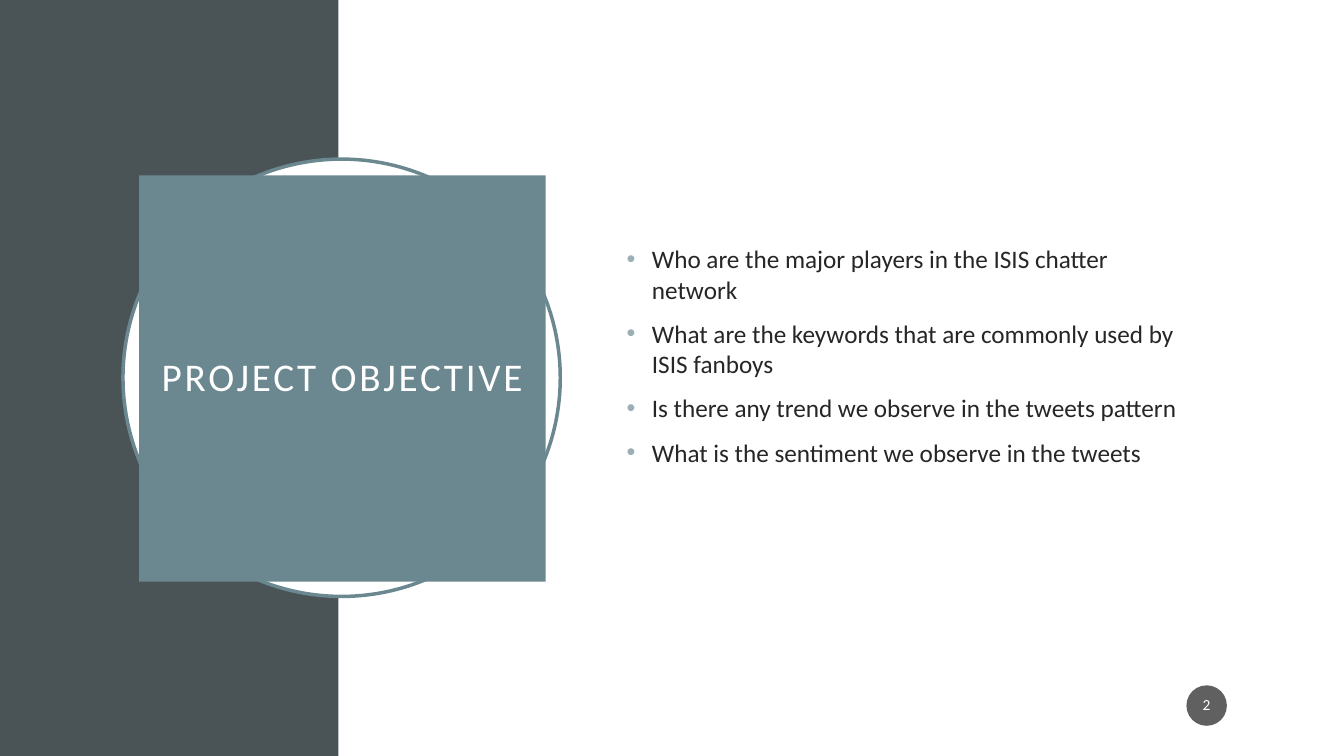
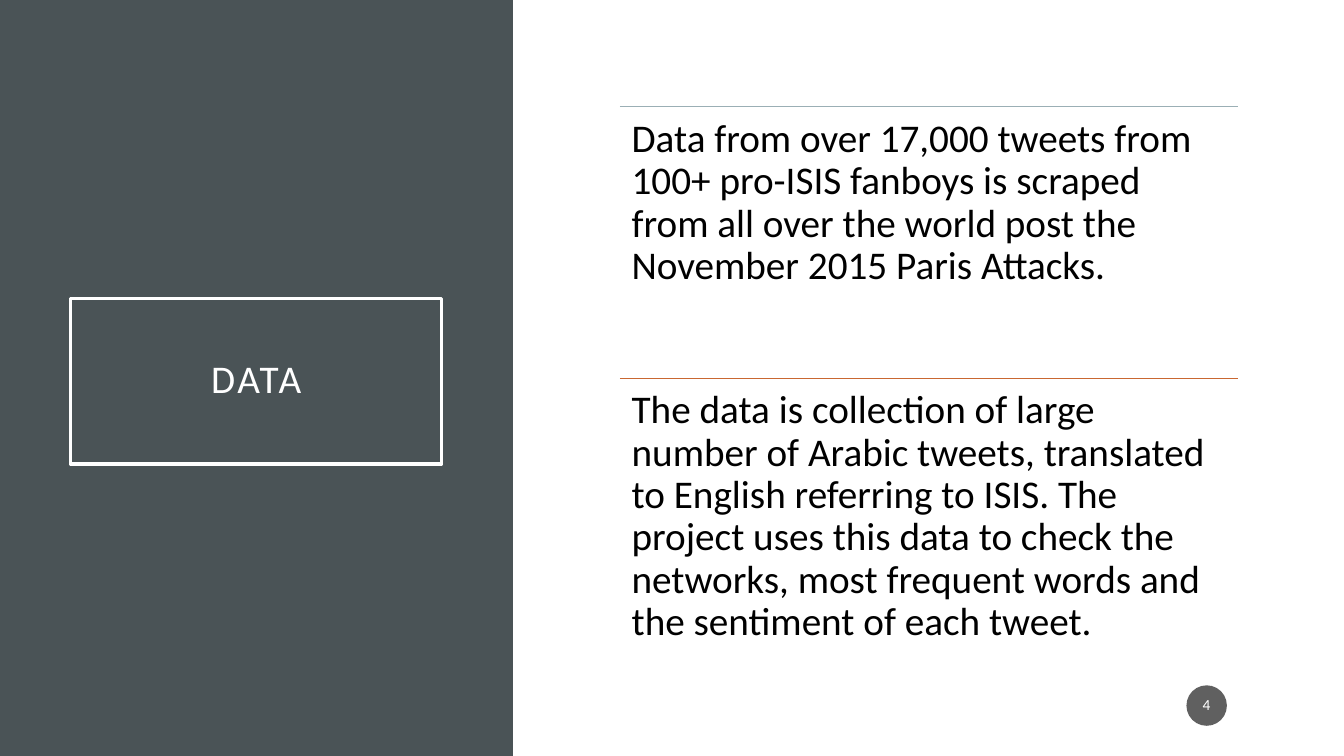
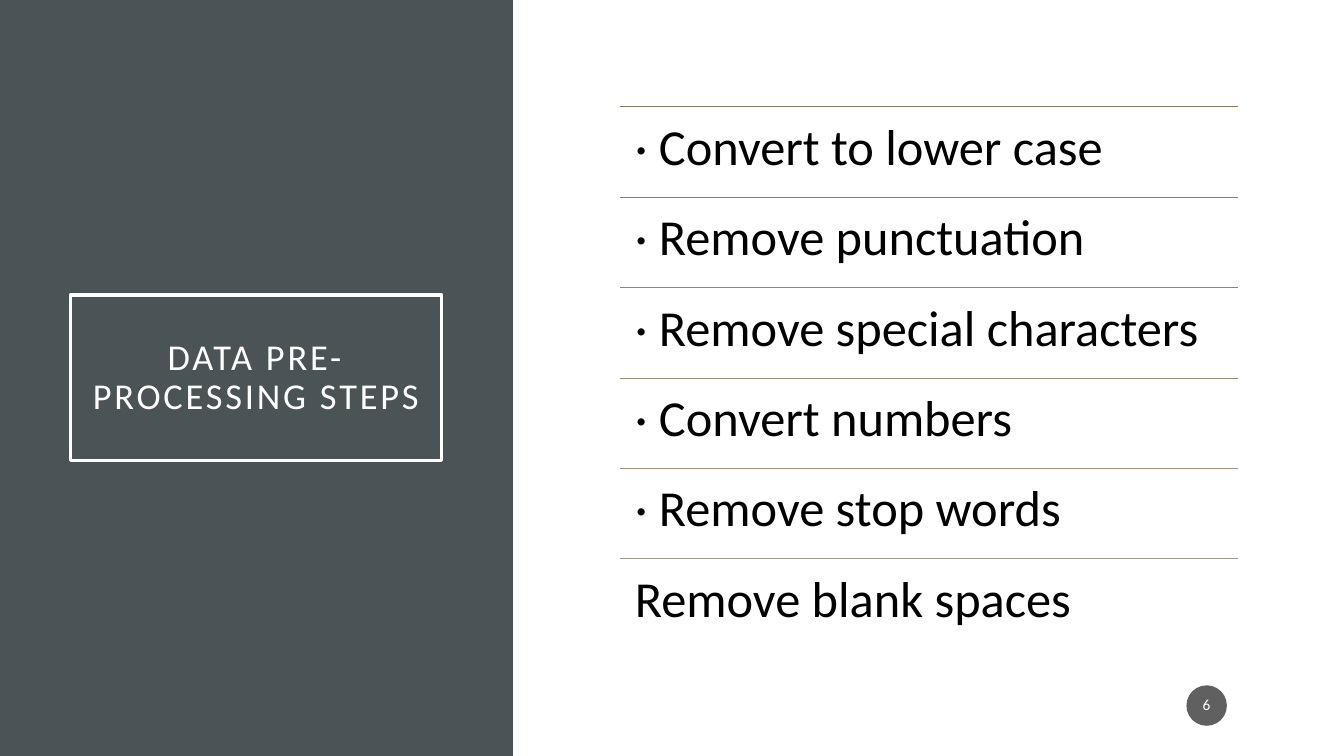
from lxml import etree
from pptx import Presentation
from pptx.dml.color import RGBColor
from pptx.enum.shapes import MSO_CONNECTOR, MSO_SHAPE
from pptx.enum.text import MSO_ANCHOR, PP_ALIGN
from pptx.oxml.ns import qn
from pptx.util import Cm, Pt

RECTANGLE, OVAL = MSO_SHAPE.RECTANGLE, MSO_SHAPE.OVAL
STRAIGHT = MSO_CONNECTOR.STRAIGHT
TOP, MIDDLE = MSO_ANCHOR.TOP, MSO_ANCHOR.MIDDLE
LEFT, CENTER = PP_ALIGN.LEFT, PP_ALIGN.CENTER

FONT = "Calibri"
WHITE = RGBColor(0xFF, 0xFF, 0xFF)
BLACK = RGBColor(0x00, 0x00, 0x00)
INK = RGBColor(0x26, 0x26, 0x26)
SLATE = RGBColor(0x4A, 0x53, 0x56)
TEAL = RGBColor(0x6B, 0x88, 0x91)
MIST = RGBColor(0x9B, 0xAF, 0xB5)
ORANGE = RGBColor(0xC9, 0x67, 0x31)
BADGE = RGBColor(0x1D, 0x1D, 0x1D)
BROWNS = [RGBColor.from_string(code) for code in
          ("87795D", "8D7F65", "93866E", "978C78", "9B9282", "A0988C")]

SLIDE_WIDTH, SLIDE_HEIGHT = Cm(33.87), Cm(19.05)
LIST_LEFT, LIST_TOP = Cm(15.62), Cm(2.69)
LIST_WIDTH, LIST_HEIGHT = Cm(15.57), Cm(13.67)

OBJECTIVES = [
    "Who are the major players in the ISIS chatter network",
    "What are the keywords that are commonly used by ISIS fanboys",
    "Is there any trend we observe in the tweets pattern",
    "What is the sentiment we observe in the tweets",
]

RULED_SLIDES = [
    dict(title="DATA", title_size=28, title_top=Cm(7.52), number=4,
         text_size=28, inset=Cm(0.3), colors=[MIST, ORANGE], rows=[
             "Data from over 17,000 tweets from 100+ pro-ISIS fanboys is "
             "scraped from all over the world post the November 2015 Paris "
             "Attacks.",
             "The data is collection of large number of Arabic tweets, "
             "translated to English referring to ISIS. The project uses this "
             "data to check the networks, most frequent words and the "
             "sentiment of each tweet."]),
    dict(title="DATA PRE-PROCESSING STEPS", title_size=26,
         title_top=Cm(7.44), number=6,
         text_size=36, inset=Cm(0.38), colors=BROWNS, rows=[
             "· Convert to lower case",
             "· Remove punctuation",
             "· Remove special characters",
             "· Convert numbers",
             "· Remove stop words",
             "Remove blank spaces"]),
]


def add_shape(slide, kind, box, fill=None, line=None):
    shape = slide.shapes.add_shape(kind, *box)
    shape.shadow.inherit = False
    if fill is None:
        shape.fill.background()
    else:
        shape.fill.solid()
        shape.fill.fore_color.rgb = fill
    if line is None:
        shape.line.fill.background()
    else:
        shape.line.color.rgb = line
        shape.line.width = Pt(2.5)
    return shape


def set_frame(shape, anchor, inset_x, inset_y):
    frame = shape.text_frame
    frame.word_wrap = True
    frame.vertical_anchor = anchor
    frame.margin_left = frame.margin_right = inset_x
    frame.margin_top = frame.margin_bottom = inset_y
    return frame


def write(paragraph, text, size, color, align=LEFT, line_spacing=0.9):
    paragraph.alignment = align
    paragraph.line_spacing = line_spacing
    run = paragraph.add_run()
    run.text = text
    run.font.name = FONT
    run.font.size = Pt(size)
    run.font.color.rgb = color
    return run


def add_bullet(paragraph, color):
    properties = paragraph._p.get_or_add_pPr()
    properties.set("marL", str(Cm(0.64)))
    properties.set("indent", str(-Cm(0.64)))
    bullet_color = etree.SubElement(properties, qn("a:buClr"))
    etree.SubElement(bullet_color, qn("a:srgbClr"), val=str(color))
    etree.SubElement(properties, qn("a:buFont"), typeface="Arial")
    etree.SubElement(properties, qn("a:buChar"), char="•")


def add_title(slide, text, size, box, fill=None, line=None):
    shape = add_shape(slide, RECTANGLE, box, fill, line)
    frame = set_frame(shape, MIDDLE, Cm(0.5), Cm(0.5))
    run = write(frame.paragraphs[0], text, size, WHITE, CENTER)
    run._r.get_or_add_rPr().set("spc", "200")


def add_page_number(slide, number):
    badge = add_shape(slide, OVAL, (Cm(29.9), Cm(17.27), Cm(1.02), Cm(1.02)), BADGE)
    color = badge.element.spPr.find(qn("a:solidFill"))[0]
    etree.SubElement(color, qn("a:alpha"), val="70000")
    frame = set_frame(badge, MIDDLE, Cm(0.05), Cm(0.13))
    write(frame.paragraphs[0], str(number), 11, WHITE, CENTER)


def start_slide(presentation, panel_width, number):
    """Add a blank slide with the dark left panel and the page number."""
    slide = presentation.slides.add_slide(presentation.slide_layouts[6])
    add_shape(slide, RECTANGLE, (0, 0, panel_width, SLIDE_HEIGHT), SLATE)
    add_page_number(slide, number)
    return slide


def add_rule(slide, top, color):
    rule = slide.shapes.add_connector(
        STRAIGHT, LIST_LEFT, top, LIST_LEFT + LIST_WIDTH, top)
    rule.line.color.rgb = color
    rule.line.width = Pt(0.5)
    etree.SubElement(rule.element.spPr, qn("a:effectLst"))


def add_objective_slide(presentation):
    slide = start_slide(presentation, Cm(8.53), 2)
    add_shape(slide, OVAL, (Cm(3.1), Cm(4.01), Cm(11.02), Cm(11.02)), WHITE, TEAL)
    add_title(slide, "PROJECT OBJECTIVE", 28,
              (Cm(3.51), Cm(4.42), Cm(10.24), Cm(10.24)), TEAL)
    body = slide.shapes.add_textbox(Cm(15.54), Cm(3.89), Cm(14.78), Cm(10.13))
    frame = set_frame(body, MIDDLE, Cm(0.25), Cm(0.13))
    for index, objective in enumerate(OBJECTIVES):
        paragraph = frame.add_paragraph() if index else frame.paragraphs[0]
        write(paragraph, objective, 18, INK, line_spacing=1.0)
        paragraph.space_before = Pt(10)
        add_bullet(paragraph, MIST)


def add_ruled_slide(presentation, content):
    """Add a slide with a framed title and equal rows, each under a thin rule."""
    slide = start_slide(presentation, Cm(12.93), content["number"])
    add_title(slide, content["title"], content["title_size"],
              (Cm(1.78), content["title_top"], Cm(9.35), Cm(4.17)), line=WHITE)
    row_height = LIST_HEIGHT // len(content["rows"])
    for index, (text, color) in enumerate(zip(content["rows"], content["colors"])):
        top = LIST_TOP + index * row_height
        add_rule(slide, top, color)
        box = slide.shapes.add_textbox(LIST_LEFT, top, LIST_WIDTH, row_height)
        frame = set_frame(box, TOP, content["inset"], content["inset"])
        write(frame.paragraphs[0], text, content["text_size"], BLACK)


def main():
    presentation = Presentation()
    presentation.slide_width = SLIDE_WIDTH
    presentation.slide_height = SLIDE_HEIGHT
    add_objective_slide(presentation)
    for content in RULED_SLIDES:
        add_ruled_slide(presentation, content)
    presentation.save("out.pptx")


if __name__ == "__main__":
    main()
